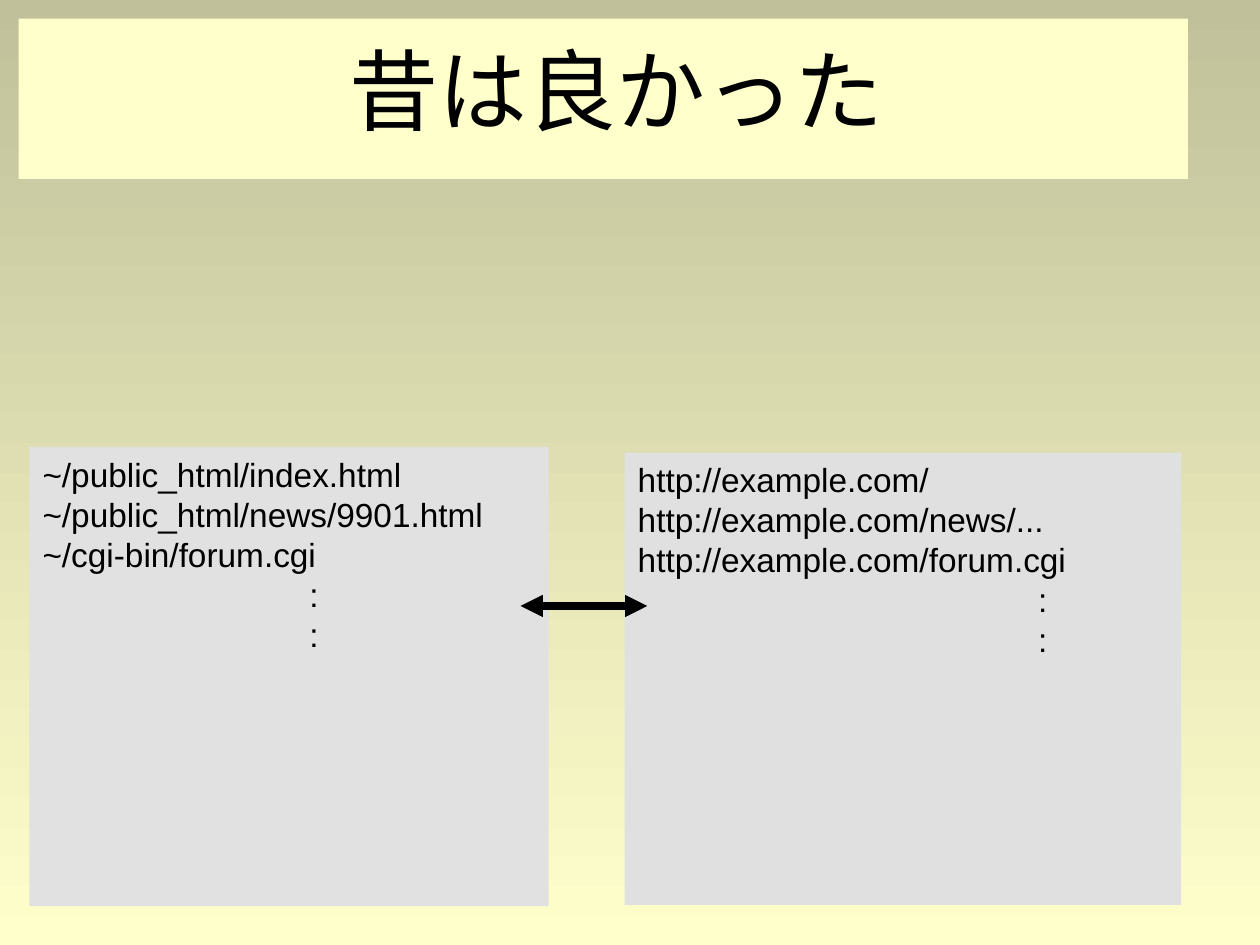
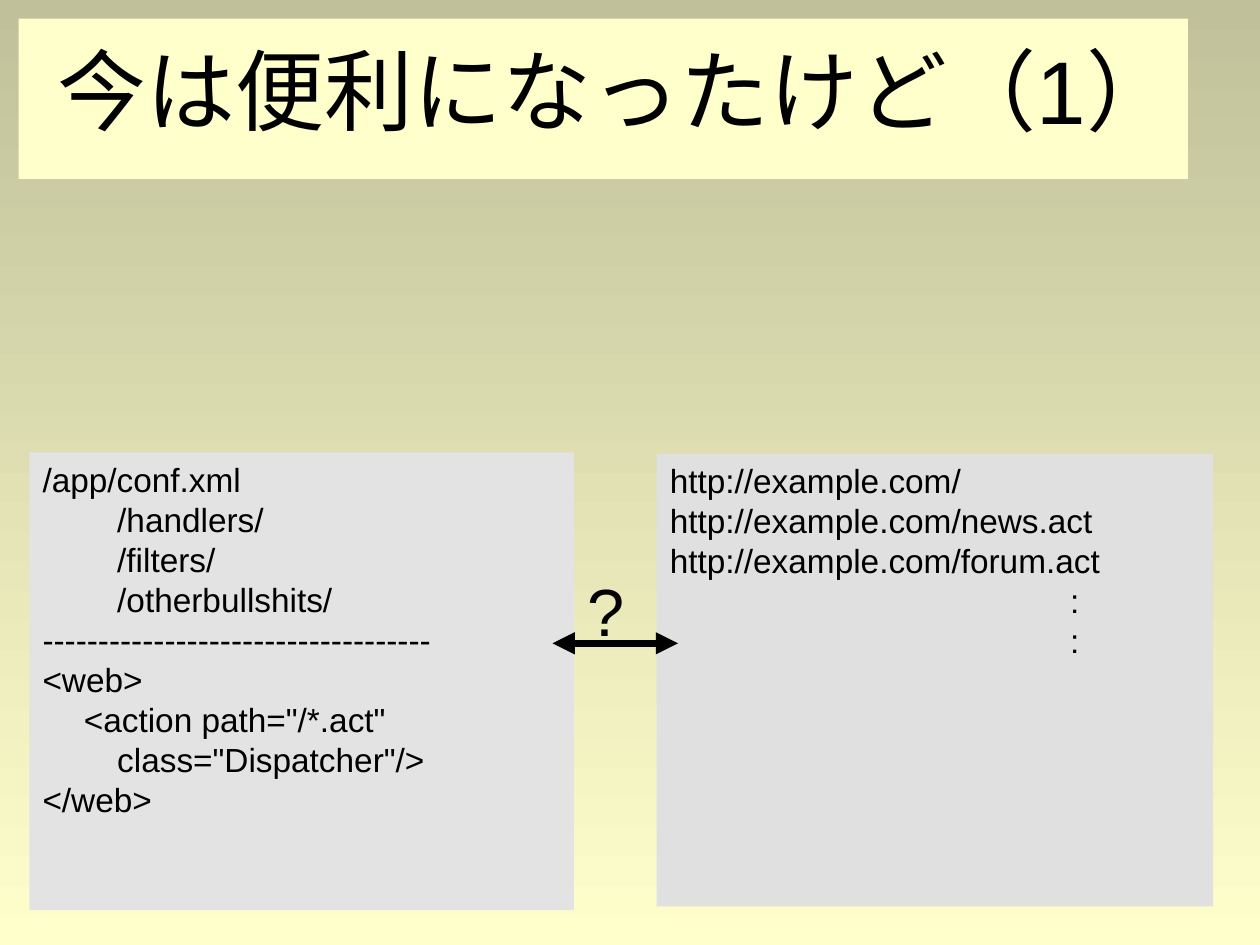
from lxml import etree
from pptx import Presentation
from pptx import util as u
from pptx.dml.color import RGBColor
from pptx.enum import shapes, text
from pptx.oxml.ns import qn


def rgb(value):
    return RGBColor.from_string(value)


class Deck:
    FONT = "Arial"
    INK = "000000"
    BAND = "FFFFCC"
    BACKDROP = ("C0C09A", BAND)

    def __init__(self):
        self.prs = Presentation()
        self.prs.slide_width = u.Inches(9.44)
        self.prs.slide_height = u.Inches(7.08)
        self.slide = None
        backdrop = self.prs.slide_master.background.fill
        backdrop.gradient()
        backdrop.gradient_angle = 270
        for position, (stop, color) in enumerate(zip(backdrop.gradient_stops, self.BACKDROP)):
            stop.color.rgb = rgb(color)
            stop.position = position

    def new_slide(self, title):
        """Add a slide with its title on the shared band."""
        self.slide = self.prs.slides.add_slide(self.prs.slide_layouts[6])
        self.box((0.14, 0.14, 8.76, 1.2), self.BAND)
        self.label((0.15, 0.22, 8.94, 0.97), title, 48)

    def box(self, at, color):
        box = self.slide.shapes.add_shape(shapes.MSO_SHAPE.RECTANGLE, *map(u.Inches, at))
        box.shadow.inherit = False
        box.fill.solid()
        box.fill.fore_color.rgb = rgb(color)
        box.line.fill.background()
        return box

    def set_lines(self, frame, lines, size, align):
        """Fill a frame with (text, left indent in inches) lines."""
        frame.word_wrap = True
        frame.vertical_anchor = text.MSO_ANCHOR.TOP
        for i, (words, indent) in enumerate(lines):
            line = frame.add_paragraph() if i else frame.paragraphs[0]
            line.text = words
            line.alignment = align
            line.font.name = self.FONT
            line.font.size = u.Pt(size)
            line.font.color.rgb = rgb(self.INK)
            if indent:
                line._p.get_or_add_pPr().set("marL", str(u.Inches(indent)))

    def label(self, at, words, size):
        label = self.slide.shapes.add_textbox(*map(u.Inches, at))
        self.set_lines(label.text_frame, [(words, 0)], size, text.PP_ALIGN.CENTER)

    def listing(self, at, color, lines):
        self.set_lines(self.box(at, color).text_frame, lines, 18, text.PP_ALIGN.LEFT)

    def double_arrow(self, left, right, y):
        arrow = self.slide.shapes.add_connector(
            shapes.MSO_CONNECTOR.STRAIGHT, *map(u.Inches, (left, y, right, y)))
        arrow.line.color.rgb = rgb(self.INK)
        arrow.line.width = u.Pt(4)
        outline = arrow.line._get_or_add_ln()
        for end in ("a:headEnd", "a:tailEnd"):
            etree.SubElement(outline, qn(end), type="triangle")
        etree.SubElement(arrow._element.spPr, qn("a:effectLst"))


def flush(*lines):
    """Give each line no indent."""
    return [(line, 0) for line in lines]


def and_so_on(indent):
    return [(":", indent)] * 2


def main():
    deck = Deck()
    files_color, urls_color = "E1E1E1", "E0E0E0"

    deck.new_slide("昔は良かった")
    deck.listing((0.22, 3.35, 3.89, 3.44), files_color, flush(
        "~/public_html/index.html",
        "~/public_html/news/9901.html",
        "~/cgi-bin/forum.cgi") + and_so_on(2))
    deck.listing((4.68, 3.39, 4.17, 3.39), urls_color, flush(
        "http://example.com/",
        "http://example.com/news/...",
        "http://example.com/forum.cgi") + and_so_on(3))
    deck.double_arrow(3.9, 4.85, 4.54)

    deck.new_slide("今は便利になったけど（1）")
    config_color, step, deep = "E3E3E3", 0.31, 0.56
    deck.listing((0.22, 3.39, 4.08, 3.43), config_color, [
        ("/app/conf.xml", 0),
        ("/handlers/", deep),
        ("/filters/", deep),
        ("/otherbullshits/", deep),
        ("-" * 35, 0),
        ("<web>", 0),
        ('<action path="/*.act"', step),
        ('class="Dispatcher"/>', deep),
        ("</web>", 0)])
    deck.listing((4.92, 3.4, 4.17, 3.39), urls_color, flush(
        "http://example.com/",
        "http://example.com/news.act",
        "http://example.com/forum.act") + and_so_on(3))
    deck.double_arrow(4.14, 5.08, 4.82)
    deck.label((4.08, 4.22, 0.92, 0.75), "?", 36)

    deck.prs.save("out.pptx")


if __name__ == "__main__":
    main()
